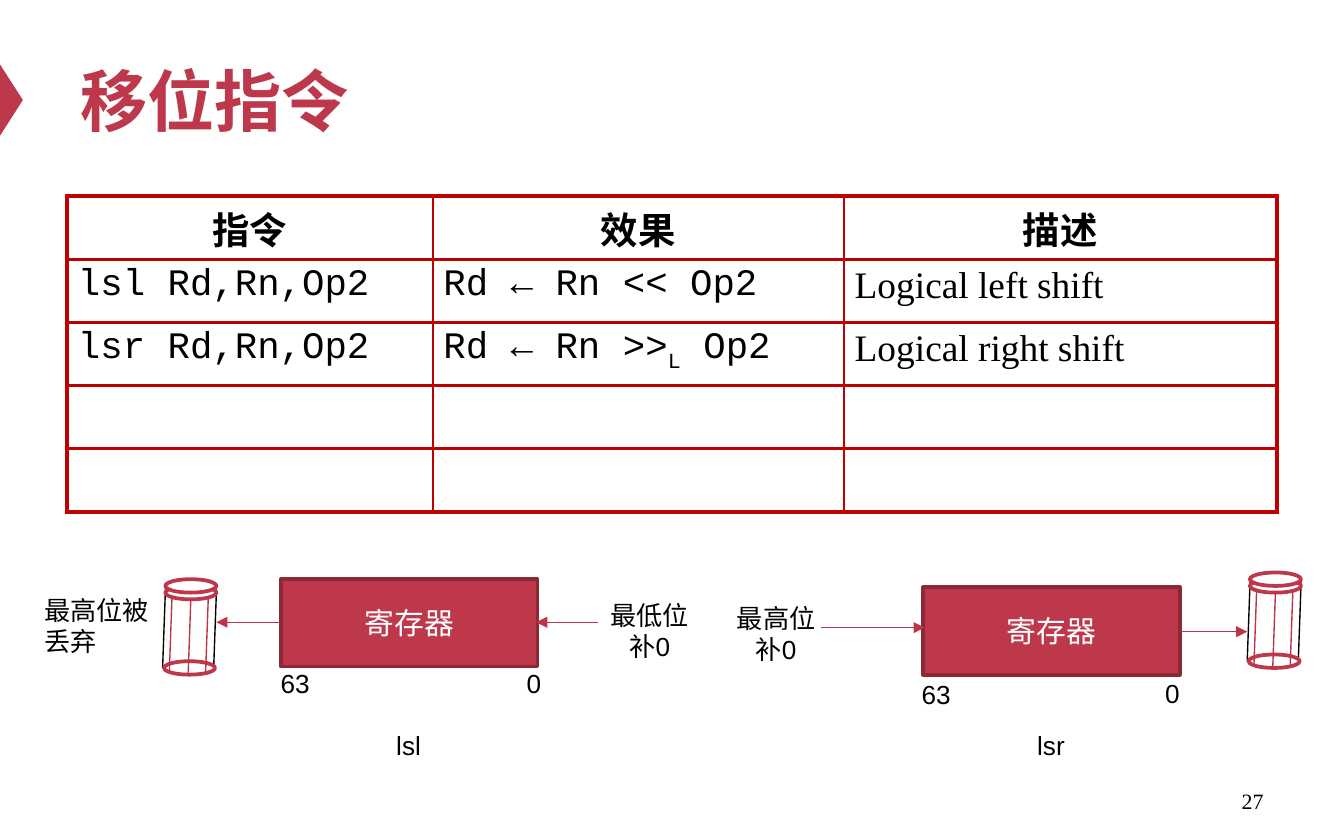
from lxml import etree
from pptx import Presentation
from pptx.dml.color import RGBColor
from pptx.enum.shapes import MSO_CONNECTOR, MSO_SHAPE
from pptx.enum.text import MSO_ANCHOR, PP_ALIGN
from pptx.oxml.ns import qn
from pptx.util import Emu, Pt

STRAIGHT = MSO_CONNECTOR.STRAIGHT
RECTANGLE, OVAL, TRIANGLE = MSO_SHAPE.RECTANGLE, MSO_SHAPE.OVAL, MSO_SHAPE.ISOSCELES_TRIANGLE
LEFT, CENTER, RIGHT = PP_ALIGN.LEFT, PP_ALIGN.CENTER, PP_ALIGN.RIGHT
TOP, MIDDLE = MSO_ANCHOR.TOP, MSO_ANCHOR.MIDDLE

PX = 9144  # 100 px to the inch
COLORS = {"red": "BE384B", "dark_red": "8D2937", "arrow": "BD3347",
          "border": "C00000", "black": "000000", "white": "FFFFFF"}
SANS, MONO, SERIF = "Arial", "Courier New", "Times New Roman"

TITLE = "移位指令"
PAGE_NUMBER = "27"
HEADER = ["指令", "效果", "描述"]
# A cell is a list of runs; the second run of a cell is a subscript.
INSTRUCTIONS = [
    [["lsl Rd,Rn,Op2"], ["Rd ← Rn << Op2"], ["Logical left shift"]],
    [["lsr Rd,Rn,Op2"], ["Rd ← Rn >>", "L", " Op2"], ["Logical right shift"]],
]
COLUMN_FONTS = [MONO, MONO, SERIF]
TABLE_LEFT, TABLE_TOP, ROW_HEIGHT, ROW_COUNT = 50, 146, 47, 5
COLUMN_WIDTHS = [272, 306, 322]
INNER_BORDER, OUTER_BORDER = 1.5, 2.25

REGISTER_TEXT = "寄存器"
REGISTER_SIZE = (191, 65)
DIAGRAMS = [
    {"register": (209, 431), "bin": (123, 431),
     "arrows": [(445, 399, 463), (209, 161, 463)],  # from x, to x, y
     "labels": [("最高位被丢弃", 23, 437, 107, 57, LEFT),
                ("最低位补0", 435, 441, 97, 57, CENTER),
                ("63", 199, 492, 43, 34, LEFT),
                ("0", 382, 492, 39, 34, LEFT),
                ("lsl", 245, 538, 118, 34, CENTER)]},
    {"register": (687, 437), "bin": (930, 426),
     "arrows": [(611, 688, 467), (878, 928, 470)],
     "labels": [("最高位补0", 529, 443, 97, 57, CENTER),
                ("63", 676, 500, 43, 34, LEFT),
                ("0", 857, 499, 35, 34, LEFT),
                ("lsr", 723, 538, 118, 34, CENTER)]},
]
# Parts of a bin, relative to the corner of its lid.
BIN_WIDTH, RING_HEIGHT, BIN_DEPTH, BIN_LEAN = 38, 10, 56, 2
BIN_RINGS = [(-1, 61), (0, 5), (0, 0)]
BIN_RIBS = [(5, 13), (19, 15), (32, 13)]


def px(*lengths):
    return [Emu(round(length * PX)) for length in lengths]


def color(name):
    return RGBColor.from_string(COLORS[name])


def format_font(font, size, name, color_name, bold=False):
    font.size, font.name, font.bold = Pt(size), name, bold
    font.color.rgb = color(color_name)


def write(shape, text, size, align, anchor=TOP, font=SANS, color_name="black", bold=False):
    frame = shape.text_frame
    frame.text = text
    frame.word_wrap = True
    frame.vertical_anchor = anchor
    paragraph = frame.paragraphs[0]
    paragraph.alignment = align
    format_font(paragraph.runs[0].font, size, font, color_name, bold)


def add_text(slide, text, left, top, width, height, align, size=14, **style):
    write(slide.shapes.add_textbox(*px(left, top, width, height)), text, size, align, **style)


def add_shape(slide, kind, left, top, width, height, fill, line=None):
    shape = slide.shapes.add_shape(kind, *px(left, top, width, height))
    shape.shadow.inherit = False
    shape.fill.solid()
    shape.fill.fore_color.rgb = color(fill)
    if line:
        shape.line.color.rgb = color(line)
        shape.line.width = Pt(2)
    else:
        shape.line.fill.background()
    return shape


def add_line(slide, x1, y1, x2, y2, color_name="arrow", arrow=False):
    line = slide.shapes.add_connector(STRAIGHT, *px(x1, y1, x2, y2))
    line.line.color.rgb = color(color_name)
    line.line.width = Pt(0.75)
    properties = line._element.spPr
    if arrow:
        etree.SubElement(properties.find(qn("a:ln")), qn("a:tailEnd"), type="triangle")
    etree.SubElement(properties, qn("a:effectLst"))


def set_borders(cell, row, column):
    """Draw thick lines on the table's rim and thinner ones inside."""
    on_rim = {"L": column == 0, "R": column == len(COLUMN_WIDTHS) - 1,
              "T": row == 0, "B": row == ROW_COUNT - 1}
    properties = cell._tc.get_or_add_tcPr()
    for index, (side, rim) in enumerate(on_rim.items()):
        width = Pt(OUTER_BORDER if rim else INNER_BORDER)
        line = etree.Element(qn(f"a:ln{side}"), w=str(width))
        fill = etree.SubElement(line, qn("a:solidFill"))
        etree.SubElement(fill, qn("a:srgbClr"), val=COLORS["border"])
        properties.insert(index, line)


def fill_cell(cell, runs, font, bold, align):
    paragraph = cell.text_frame.paragraphs[0]
    paragraph.alignment = align
    for index, text in enumerate(runs):
        run = paragraph.add_run()
        run.text = text
        format_font(run.font, 20, font, "black", bold)
        if index == 1:
            run.font._element.set("baseline", "-25000")


def add_instruction_table(slide):
    table = slide.shapes.add_table(
        ROW_COUNT, len(COLUMN_WIDTHS),
        *px(TABLE_LEFT, TABLE_TOP, sum(COLUMN_WIDTHS), ROW_HEIGHT * ROW_COUNT)).table
    table.first_row = table.horz_banding = False
    for column, width in zip(table.columns, px(*COLUMN_WIDTHS)):
        column.width = width
    for row_index, row in enumerate(table.rows):
        row.height = px(ROW_HEIGHT)[0]
        for column_index, cell in enumerate(row.cells):
            cell.margin_left, cell.margin_right, cell.margin_top, cell.margin_bottom = px(8, 8, 4, 4)
            cell.fill.background()
            set_borders(cell, row_index, column_index)
            if row_index == 0:
                fill_cell(cell, [HEADER[column_index]], SANS, True, CENTER)
            elif row_index <= len(INSTRUCTIONS):
                runs = INSTRUCTIONS[row_index - 1][column_index]
                fill_cell(cell, runs, COLUMN_FONTS[column_index], False, LEFT)


def add_bin(slide, left, top):
    for x in (left, left + BIN_WIDTH):
        add_line(slide, x, top + 10, x - BIN_LEAN, top + 10 + BIN_DEPTH, "black")
    for dx, dy in BIN_RINGS:
        add_shape(slide, OVAL, left + dx, top + dy, BIN_WIDTH, RING_HEIGHT, "white", "red")
    for x in (left, left + BIN_WIDTH):
        add_line(slide, x, top + 5, x, top + 10)
    for dx, dy in BIN_RIBS:
        x, y = left + dx, top + dy
        add_line(slide, x, y, x - BIN_LEAN, y + BIN_DEPTH)


def add_diagram(slide, diagram):
    register = add_shape(slide, RECTANGLE, *diagram["register"], *REGISTER_SIZE, "red", "dark_red")
    write(register, REGISTER_TEXT, 16, CENTER, MIDDLE, color_name="white")
    for start, end, y in diagram["arrows"]:
        add_line(slide, start, y, end, y, arrow=True)
    add_bin(slide, *diagram["bin"])
    for label in diagram["labels"]:
        add_text(slide, *label)


def main():
    presentation = Presentation()
    presentation.slide_width, presentation.slide_height = px(1000, 625)
    slide = presentation.slides.add_slide(presentation.slide_layouts[6])
    marker = add_shape(slide, TRIANGLE, -18, 66, 53, 17, "red")
    marker.rotation = 90
    add_text(slide, TITLE, 50, 25, 900, 98, LEFT, size=36, anchor=MIDDLE,
             color_name="red", bold=True)
    add_instruction_table(slide)
    add_text(slide, PAGE_NUMBER, 717, 579, 233, 33, RIGHT, size=11.7, anchor=MIDDLE, font=SERIF)
    for diagram in DIAGRAMS:
        add_diagram(slide, diagram)
    presentation.save("out.pptx")


if __name__ == "__main__":
    main()
